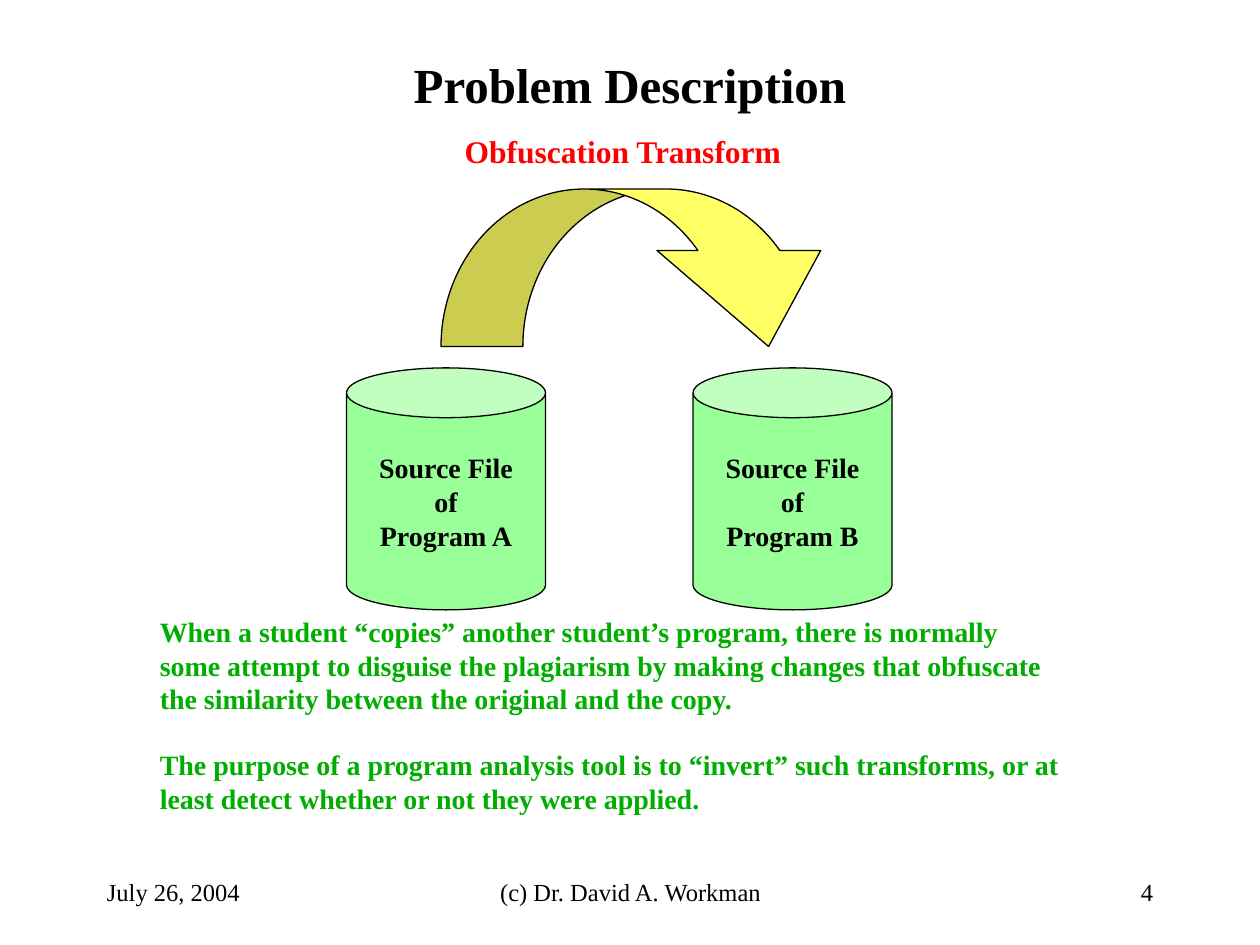
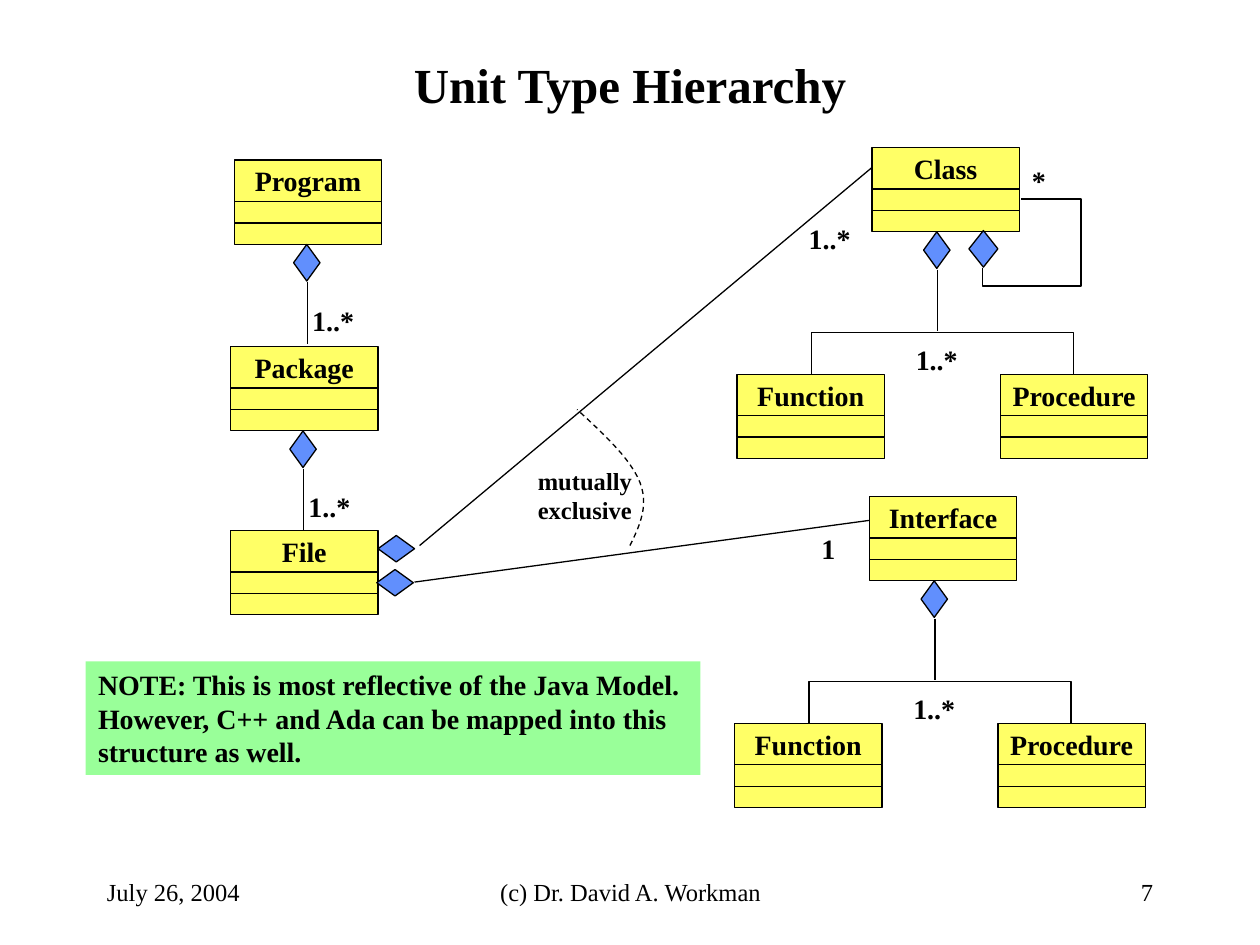
from dataclasses import dataclass

import pptx
import pptx.dml.color
import pptx.enum.dml
import pptx.enum.shapes
import pptx.enum.text
import pptx.oxml
import pptx.util
from pptx.util import Inches

SHAPE = pptx.enum.shapes.MSO_SHAPE
ALIGN = pptx.enum.text.PP_ALIGN
ANCHOR = pptx.enum.text.MSO_ANCHOR


@dataclass(frozen=True)
class Theme:
    font: str = "Times New Roman"
    ink: str = "000000"
    red: str = "FF0000"
    green: str = "00AE00"
    mint: str = "99FF99"
    yellow: str = "FFFF66"
    blue: str = "618FFD"
    title: int = 28
    heading: int = 18
    body: int = 16
    small: int = 14
    paragraph_gap: float = 18.4
    line: float = 0.75


THEME = Theme()
BOX_W, NAME_H, ROW_H = 1.17, 0.33, 0.17
BOX_H = NAME_H + 2 * ROW_H


def rgb(color):
    return pptx.dml.color.RGBColor.from_string(color)


def write_text(sp, text, size=THEME.body, color=THEME.ink, bold=True,
               align=ALIGN.LEFT, anchor=ANCHOR.TOP, wrap=False):
    """Write one paragraph per line; an empty line in text becomes spacing."""
    tf = sp.text_frame
    tf.auto_size = pptx.enum.text.MSO_AUTO_SIZE.NONE
    tf.word_wrap = wrap
    tf.vertical_anchor = anchor
    lines = [(line, i > 0 and j == 0)
             for i, block in enumerate(text.split("\n\n"))
             for j, line in enumerate(block.split("\n"))]
    for n, (line, starts_block) in enumerate(lines):
        p = tf.add_paragraph() if n else tf.paragraphs[0]
        p.alignment = align
        p.space_before = pptx.util.Pt(THEME.paragraph_gap if starts_block else 0)
        r = p.add_run()
        r.text = line
        r.font.name = THEME.font
        r.font.size = pptx.util.Pt(size)
        r.font.bold = bold
        r.font.color.rgb = rgb(color)


def add_text(s, x, y, w, h, text, **fmt):
    sp = s.shapes.add_textbox(Inches(x), Inches(y), Inches(w), Inches(h))
    write_text(sp, text, **fmt)


def style_line(line):
    line.color.rgb = rgb(THEME.ink)
    line.width = pptx.util.Pt(THEME.line)


def add_shape(s, kind, x, y, w, h, fill, outlined=True):
    sp = s.shapes.add_shape(kind, Inches(x), Inches(y), Inches(w), Inches(h))
    sp.shadow.inherit = False
    sp.fill.solid()
    sp.fill.fore_color.rgb = rgb(fill)
    if outlined:
        style_line(sp.line)
    else:
        sp.line.fill.background()
    return sp


def add_line(s, x1, y1, x2, y2):
    c = s.shapes.add_connector(pptx.enum.shapes.MSO_CONNECTOR.STRAIGHT,
                               Inches(x1), Inches(y1), Inches(x2), Inches(y2))
    style_line(c.line)
    pptx.oxml.parse_xml  # noqa
    effects = c.line._get_or_add_ln().makeelement(
        "{http://schemas.openxmlformats.org/drawingml/2006/main}effectLst", {})
    c._element.spPr.append(effects)


def add_polyline(s, points, dashed=False):
    (x, y), *rest = [(Inches(px), Inches(py)) for px, py in points]
    builder = s.shapes.build_freeform(x, y)
    builder.add_line_segments(rest, close=False)
    sp = builder.convert_to_shape()
    sp.shadow.inherit = False
    sp.fill.background()
    style_line(sp.line)
    if dashed:
        sp.line.dash_style = pptx.enum.dml.MSO_LINE.DASH


def bezier(p0, p1, p2, p3, steps=12):
    """Return points along a cubic curve, without its start."""
    ts = [i / steps for i in range(1, steps + 1)]
    return [tuple((1 - t) ** 3 * a + 3 * (1 - t) ** 2 * t * b
                  + 3 * (1 - t) * t ** 2 * c + t ** 3 * d
                  for a, b, c, d in zip(p0, p1, p2, p3)) for t in ts]


def add_slide(prs, title, number):
    s = prs.slides.add_slide(prs.slide_layouts[5])
    sp = s.shapes.title
    sp.left, sp.top, sp.width, sp.height = map(Inches, (0.75, 0.33, 8.5, 0.67))
    write_text(sp, title, size=THEME.title, align=ALIGN.CENTER,
               anchor=ANCHOR.MIDDLE, wrap=True)
    for x, w, text, align in (
            (0.75, 2.08, "July 26, 2004", ALIGN.LEFT),
            (3.42, 3.17, "(c) Dr. David A. Workman", ALIGN.CENTER),
            (7.17, 2.08, str(number), ALIGN.RIGHT)):
        add_text(s, x, 6.83, w, 0.5, text, size=THEME.small, bold=False,
                 align=align, anchor=ANCHOR.MIDDLE, wrap=True)
    return s


def add_source_file(s, x, program):
    can = add_shape(s, SHAPE.CAN, x, 2.92, 1.58, 1.92, THEME.mint)
    can.adjustments[0] = 0.25
    write_text(can, f"Source File\nof\nProgram {program}",
               align=ALIGN.CENTER, anchor=ANCHOR.MIDDLE)


def add_unit(s, x, y, name):
    """Draw a class box: a name row above two empty compartments."""
    head = add_shape(s, SHAPE.RECTANGLE, x, y, BOX_W, NAME_H, THEME.yellow)
    write_text(head, name, align=ALIGN.CENTER, anchor=ANCHOR.MIDDLE)
    for row in range(2):
        add_shape(s, SHAPE.RECTANGLE, x, y + NAME_H + row * ROW_H,
                  BOX_W, ROW_H, THEME.yellow)


def add_diamond(s, x, y, w=0.21, h=0.29):
    add_shape(s, SHAPE.DIAMOND, x, y, w, h, THEME.blue)


def add_multiplicity(s, x, y, text="1..*"):
    add_text(s, x, y, 0.53 if len(text) > 1 else 0.31, 0.37, text)


def add_composition(s, x, y, label_dx, label_dy):
    """Hang a diamond, a stem and a multiplicity from point (x, y)."""
    add_diamond(s, x - 0.11, y)
    add_line(s, x, y + 0.3, x, y + 0.79)
    add_multiplicity(s, x + label_dx, y + label_dy)


def add_unit_with_members(s, x, y, name):
    """Draw a unit composed of a Function and a Procedure."""
    add_unit(s, x, y, name)
    add_composition(s, x + 0.52, y + BOX_H, -0.27, 0.83)
    left, right, bar, bottom = x - 0.48, x + 1.6, y + 1.47, y + 1.8
    add_polyline(s, [(left, bottom), (left, bar), (right, bar), (right, bottom)])
    add_unit(s, x - 1.07, bottom, "Function")
    add_unit(s, x + 1.02, bottom, "Procedure")


def build_problem_slide(prs):
    s = add_slide(prs, "Problem Description", 4)
    add_source_file(s, 2.75, "A")
    add_source_file(s, 5.5, "B")
    arrow = add_shape(s, SHAPE.CURVED_DOWN_ARROW, 3.5, 1.5, 3.25, 1.25, THEME.yellow)
    for i, value in enumerate((0.52, 1.04, 0.61)):
        arrow.adjustments[i] = value
    add_text(s, 3.59, 1, 2.73, 0.4, "Obfuscation Transform",
             size=THEME.heading, color=THEME.red)
    add_text(s, 1.17, 4.83, 7.5, 1.7,
             "When a student “copies” another student’s program, there is normally\n"
             "some attempt to disguise the plagiarism by making changes that obfuscate\n"
             "the similarity between the original and the copy.\n\n"
             "The purpose of a program analysis tool is to “invert” such transforms, or at\n"
             "least detect whether or not they were applied.",
             color=THEME.green, wrap=True)


def build_hierarchy_slide(prs):
    s = add_slide(prs, "Unit Type Hierarchy", 7)
    for x, y, name in ((1.86, 1.27, "Program"), (1.83, 2.75, "Package")):
        add_unit(s, x, y, name)
        add_composition(s, x + 0.58, y + BOX_H, -0.06, 0.42)
    add_unit(s, 1.83, 4.21, "File")
    add_unit_with_members(s, 6.92, 1.17, "Class")
    add_unit_with_members(s, 6.9, 3.94, "Interface")

    # Class contains itself
    add_diamond(s, 7.69, 1.83, w=0.23)
    add_polyline(s, [(7.8, 2.13), (7.8, 2.27), (8.58, 2.27), (8.58, 1.58), (8.1, 1.58)])
    add_multiplicity(s, 8.09, 1.25, "*")

    # File contains either classes or one interface
    add_diamond(s, 2.99, 4.52, w=0.29, h=0.21)
    add_line(s, 3.29, 4.62, 6.9, 4.13)
    add_multiplicity(s, 6.42, 4.17, "1")
    add_diamond(s, 3, 4.25, w=0.29, h=0.21)
    add_line(s, 3.33, 4.33, 6.92, 1.33)
    add_multiplicity(s, 6.32, 1.71)
    start, middle, end = (5, 4.33), (5.08, 3.83), (4.58, 3.25)
    add_polyline(s, [start, *bezier(start, (5.08, 4.17), (5.15, 4.01), middle),
                     *bezier(middle, (5.01, 3.65), (4.8, 3.45), end)], dashed=True)
    add_text(s, 4.17, 3.65, 0.95, 0.57, "mutually\nexclusive", size=THEME.small)

    note = add_shape(s, SHAPE.RECTANGLE, 0.68, 5.25, 4.88, 0.9, THEME.mint, outlined=False)
    write_text(note, "NOTE: This is most reflective of the Java Model.\n"
                     "However, C++ and Ada can be mapped into this\n"
                     "structure as well.")


def main():
    prs = pptx.Presentation()
    prs.slide_width, prs.slide_height = Inches(10), Inches(7.5)
    build_problem_slide(prs)
    build_hierarchy_slide(prs)
    prs.save("out.pptx")


if __name__ == "__main__":
    main()
